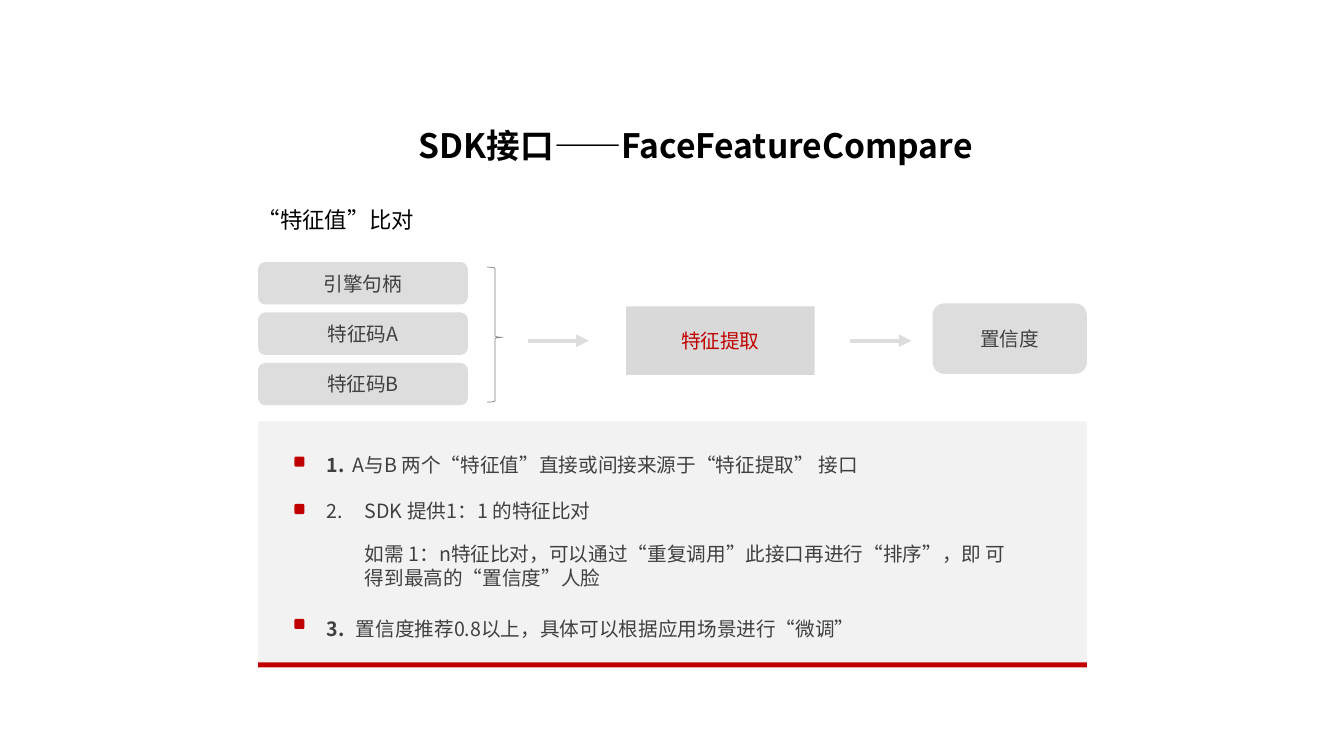
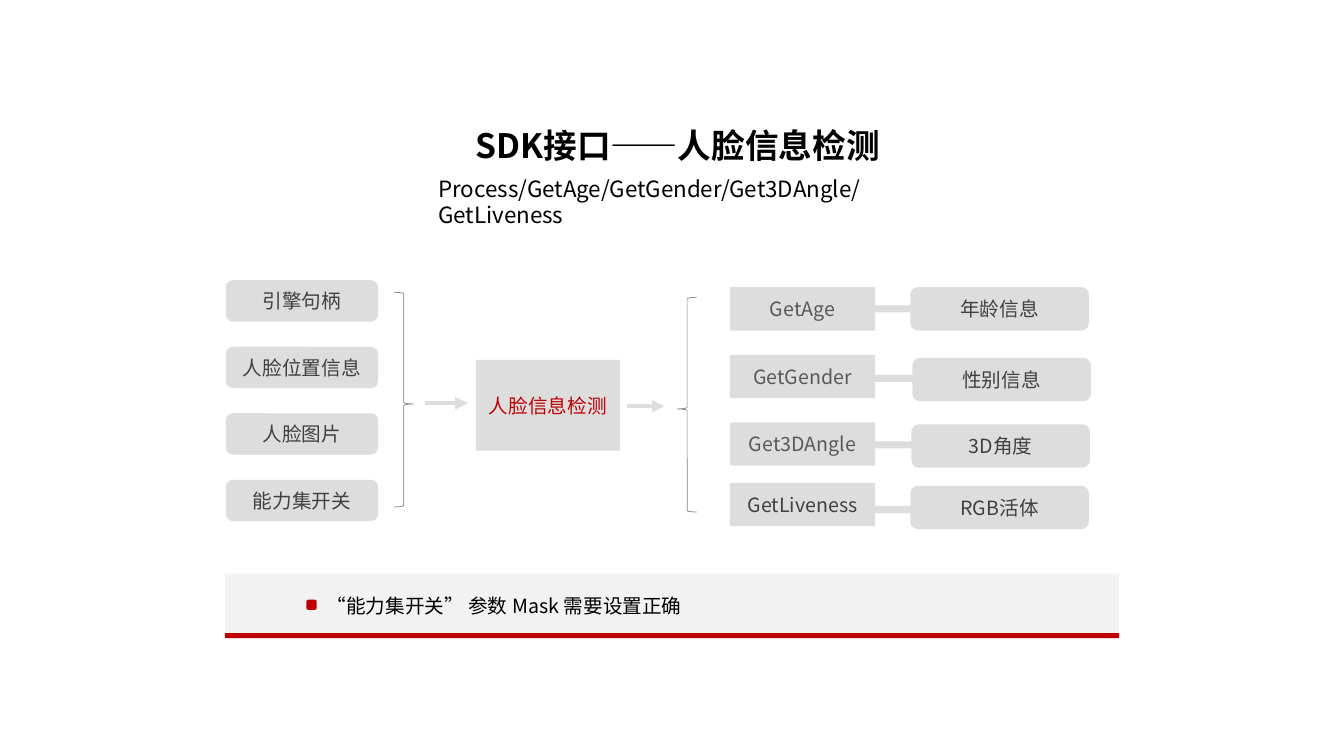
from lxml import etree
from pptx import Presentation
from pptx import util as u
from pptx.dml.color import RGBColor
from pptx.enum import shapes, text
from pptx.oxml.ns import qn

SCALE = 9144
KIND = shapes.MSO_SHAPE


def px(length):
    return u.Emu(round(length * SCALE))


def rgb(value):
    return RGBColor.from_string(value)


class Deck:
    FONT = "Noto Sans CJK SC"
    BLACK = "000000"
    INK = "404040"
    SOFT_INK = "595959"
    RED = "C00000"
    GREY = "DDDDDD"
    DARK_GREY = "D9D9D9"
    PALE = "F2F2F2"
    BRACE = "808080"

    def __init__(self, width, height):
        self.presentation = Presentation()
        self.presentation.slide_width = px(width)
        self.presentation.slide_height = px(height)
        self.slide = None

    def new_slide(self, title, center):
        layout = self.presentation.slide_layouts[6]
        self.slide = self.presentation.slides.add_slide(layout)
        self.textbox(title, center - 600, 118, 1200, 52, size=24, bold=True,
                     align=text.PP_ALIGN.CENTER)

    def add_text(self, paragraph, content, size, color, bold=False):
        run = paragraph.add_run()
        run.text = content
        run.font.size = u.Pt(size)
        run.font.bold = bold
        run.font.color.rgb = rgb(color)
        run.font.name = self.FONT
        properties = run.font._element
        etree.SubElement(properties, qn("a:ea"), typeface=self.FONT)

    def frame(self, left, top, width, height, anchor=text.MSO_ANCHOR.MIDDLE):
        box = self.slide.shapes.add_textbox(px(left), px(top), px(width), px(height))
        box.text_frame.word_wrap = True
        box.text_frame.vertical_anchor = anchor
        return box.text_frame

    def textbox(self, content, left, top, width, height, size=14, bold=False,
                align=text.PP_ALIGN.LEFT, anchor=text.MSO_ANCHOR.MIDDLE, spacing=None):
        paragraph = self.frame(left, top, width, height, anchor).paragraphs[0]
        paragraph.alignment = align
        if spacing:
            paragraph.line_spacing = u.Pt(spacing)
        self.add_text(paragraph, content, size, self.BLACK, bold)

    def numbered_list(self, items, left, top, width, height):
        frame = self.frame(left, top, width, height, text.MSO_ANCHOR.TOP)
        for index, (space, indent, number, content, bold) in enumerate(items):
            paragraph = frame.add_paragraph() if index else frame.paragraphs[0]
            paragraph.line_spacing = u.Pt(17)
            paragraph.space_before = u.Pt(space)
            properties = paragraph._p.get_or_add_pPr()
            properties.set("marL", str(px(indent)))
            properties.set("indent", str(-px(indent) if number else 0))
            if number:
                self.add_text(paragraph, number, 14, self.INK, bold)
                content = "\t" + content
            self.add_text(paragraph, content, 14, self.INK)

    def block(self, left, top, width, height, label=None, kind=KIND.RECTANGLE,
              fill=GREY, color=INK):
        shape = self.slide.shapes.add_shape(kind, px(left), px(top), px(width), px(height))
        shape.shadow.inherit = False
        shape.fill.solid()
        shape.fill.fore_color.rgb = rgb(fill)
        shape.line.fill.background()
        if label:
            frame = shape.text_frame
            frame.word_wrap = True
            frame.vertical_anchor = text.MSO_ANCHOR.MIDDLE
            frame.paragraphs[0].alignment = text.PP_ALIGN.CENTER
            self.add_text(frame.paragraphs[0], label, 14, color)

    def pill(self, left, top, width, height, label):
        self.block(left, top, width, height, label, KIND.ROUNDED_RECTANGLE)

    def bullet(self, left, top):
        self.block(left, top, 10, 10, kind=KIND.ROUNDED_RECTANGLE, fill=self.RED)

    def panel(self, left, top, width, height):
        self.block(left, top, width, height, fill=self.PALE)
        self.block(left, top + height, width, 5, fill=self.RED)

    def brace(self, kind, left, top, width, height):
        shape = self.slide.shapes.add_shape(kind, px(left), px(top), px(width), px(height))
        shape.shadow.inherit = False
        shape.adjustments[0] = 0.08
        shape.adjustments[1] = 0.52
        shape.fill.background()
        shape.line.color.rgb = rgb(self.BRACE)
        shape.line.width = u.Pt(0.5)

    def arrow(self, start, end, y):
        connector = self.slide.shapes.add_connector(
            shapes.MSO_CONNECTOR.STRAIGHT, px(start), px(y), px(end), px(y))
        connector.line.color.rgb = rgb(self.GREY)
        connector.line.width = u.Pt(3)
        properties = connector.element.spPr
        etree.SubElement(properties.find(qn("a:ln")), qn("a:tailEnd"), type="triangle")
        etree.SubElement(properties, qn("a:effectLst"))


def compare_slide(deck):
    deck.new_slide("SDK接口——FaceFeatureCompare", 690)
    deck.textbox("“特征值”比对", 246, 199, 240, 37, size=16)
    for row, label in enumerate(("引擎句柄", "特征码A", "特征码B")):
        deck.pill(256, 260 + 50 * row, 208, 42, label)
    deck.brace(KIND.RIGHT_BRACE, 483, 265, 16, 134)
    deck.arrow(524, 584, 338)
    deck.block(621, 304, 187, 68, "特征提取", fill=deck.DARK_GREY, color=deck.RED)
    deck.arrow(843, 904, 338)
    deck.pill(925, 301, 153, 70, "置信度")
    deck.panel(256, 418, 822, 239)
    for top in (453, 500, 614):
        deck.bullet(292, top)
    deck.numbered_list((
        (0, 26, "1.", "A与B 两个“特征值”直接或间接来源于“特征提取” 接口", True),
        (16, 38, "2.", "SDK 提供1：1 的特征比对", False),
        (14, 38, None, "如需 1：n特征比对，可以通过“重复调用”此接口再进行“排序”，即 "
                       "可得到最高的“置信度”人脸", False),
        (19, 29, "3.", "置信度推荐0.8以上，具体可以根据应用场景进行“微调”", True),
    ), 314, 444, 706, 200)


def detection_slide(deck):
    deck.new_slide("SDK接口——人脸信息检测", 672)
    deck.textbox("Process/GetAge/GetGender/Get3DAngle/GetLiveness", 425, 169, 474, 64,
                 size=16, anchor=text.MSO_ANCHOR.TOP, spacing=19)
    for row, label in enumerate(("引擎句柄", "人脸位置信息", "人脸图片", "能力集开关")):
        deck.pill(224, 278 + 66 * row, 151, 41, label)
    deck.brace(KIND.RIGHT_BRACE, 391, 290, 19, 213)
    deck.arrow(422, 464, 400)
    deck.block(472, 357, 143, 90, "人脸信息检测", color=deck.RED)
    deck.arrow(622, 659, 403)
    deck.brace(KIND.LEFT_BRACE, 672, 295, 19, 213)
    outputs = (
        ("GetAge", 285, deck.SOFT_INK, 303, "年龄信息", 903, 285),
        ("GetGender", 352, deck.SOFT_INK, 372, "性别信息", 905, 355),
        ("Get3DAngle", 419, deck.SOFT_INK, 438, "3D角度", 904, 421),
        ("GetLiveness", 479, deck.INK, 502, "RGB活体", 903, 482),
    )
    for call, call_top, color, link_top, result, result_left, result_top in outputs:
        deck.block(842, link_top, 125, 7)
        deck.block(724, call_top, 144, 43, call, color=color)
        deck.pill(result_left, result_top, 177, 43, result)
    deck.panel(223, 569, 887, 59)
    deck.bullet(304, 595)
    deck.textbox("“能力集开关” 参数 Mask 需要设置正确", 314, 584, 736, 34)


def main():
    deck = Deck(1333, 750)
    compare_slide(deck)
    detection_slide(deck)
    deck.presentation.save("out.pptx")


if __name__ == "__main__":
    main()
